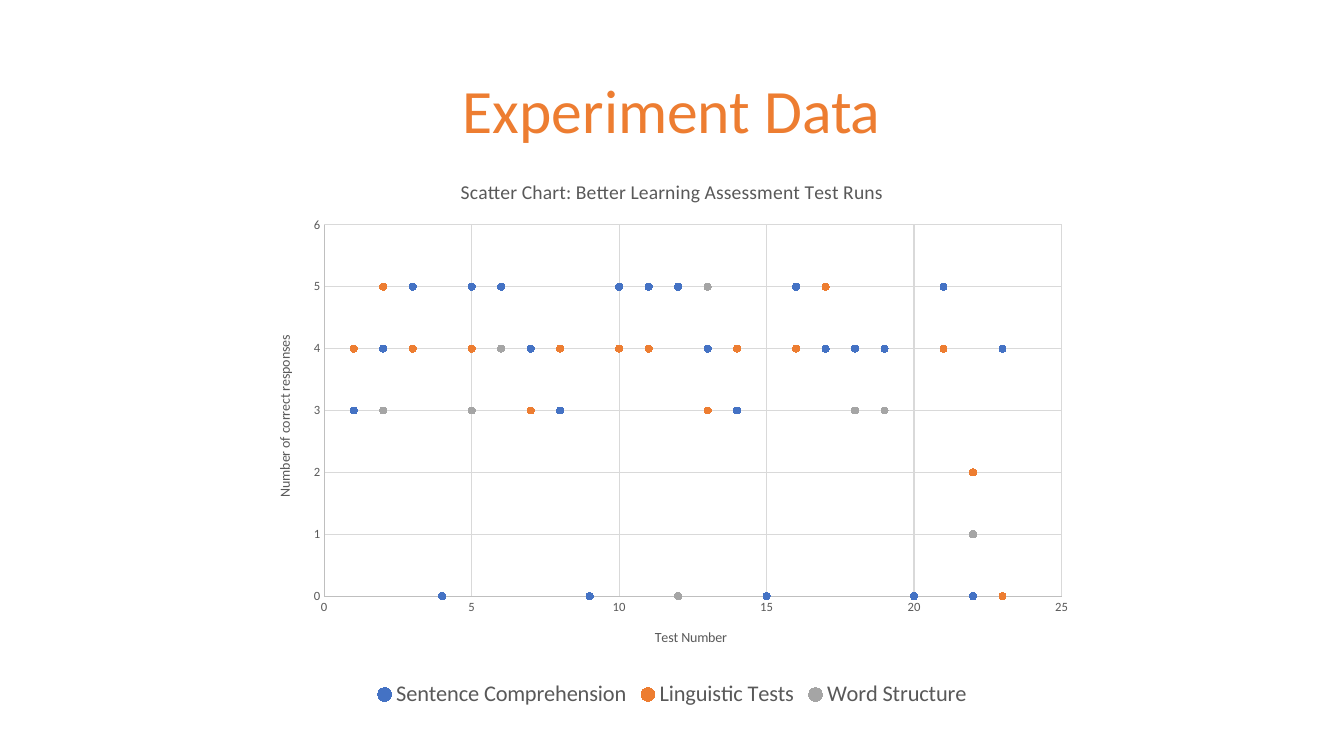
from lxml import etree
from pptx import Presentation
from pptx.chart.data import XyChartData
from pptx.dml.color import RGBColor
from pptx.enum.chart import (
    XL_CHART_TYPE as ChartType,
    XL_LEGEND_POSITION as LegendPosition,
    XL_MARKER_STYLE as MarkerStyle,
    XL_TICK_MARK as TickMark,
)
from pptx.enum.text import MSO_ANCHOR, PP_ALIGN
from pptx.oxml.ns import qn
from pptx.util import Cm, Pt

BLUE = RGBColor(0x44, 0x72, 0xC4)
ORANGE = RGBColor(0xED, 0x7D, 0x31)
GREY = RGBColor(0xA5, 0xA5, 0xA5)
TEXT_GREY = RGBColor(0x59, 0x59, 0x59)
AXIS_GREY = RGBColor(0xBF, 0xBF, 0xBF)
GRID_GREY = RGBColor(0xD9, 0xD9, 0xD9)
FONT = "Calibri"

TEST_RESULTS = [
    ("Sentence Comprehension", BLUE,
     [3, 4, 5, 0, 5, 5, 4, 3, 0, 5, 5, 5, 4, 3, 0, 5, 4, 4, 4, 0, 5, 0, 4]),
    ("Linguistic Tests", ORANGE,
     [4, 5, 4, 0, 4, 5, 3, 4, 0, 4, 4, 5, 3, 4, 0, 4, 5, 4, 4, 0, 4, 2, 0]),
    ("Word Structure", GREY,
     [3, 3, 4, 0, 3, 4, 3, 4, 0, 4, 4, 0, 5, 4, 0, 5, 5, 3, 3, 0, 4, 1, 0]),
]
PLOT_AREA = {"x": 0.08, "y": 0.12, "w": 0.89, "h": 0.67}


def style_font(font, size, color=TEXT_GREY):
    font.name = FONT
    font.size = Pt(size)
    font.bold = False
    font.color.rgb = color


def style_line(line, color):
    line.width = Pt(0.75)
    line.color.rgb = color


def add_run(paragraph, text, size, color=TEXT_GREY):
    run = paragraph.add_run()
    run.text = text
    style_font(run.font, size, color)


def set_slide_title(slide, text):
    title = slide.shapes.title
    title.left, title.top = Cm(2.33), Cm(1.01)
    title.width, title.height = Cm(29.21), Cm(3.68)
    title.text_frame.vertical_anchor = MSO_ANCHOR.MIDDLE
    paragraph = title.text_frame.paragraphs[0]
    paragraph.alignment = PP_ALIGN.CENTER
    paragraph.line_spacing = 0.9
    add_run(paragraph, text, 44, ORANGE)


def style_axis(axis, title, maximum, step):
    axis.minimum_scale, axis.maximum_scale = 0, maximum
    axis.major_unit = step
    axis.major_tick_mark = axis.minor_tick_mark = TickMark.NONE
    axis.has_major_gridlines = True
    style_line(axis.major_gridlines.format.line, GRID_GREY)
    style_line(axis.format.line, AXIS_GREY)
    style_font(axis.tick_labels.font, 9)
    add_run(axis.axis_title.text_frame.paragraphs[0], title, 10)


def place_plot_area(chart):
    """Fix the inner plot area as fractions of the chart's size."""
    plot_area = chart.plots[0]._element.getparent()
    for old_layout in plot_area.findall(qn("c:layout")):
        plot_area.remove(old_layout)
    layout = etree.Element(qn("c:layout"))
    plot_area.insert(0, layout)
    manual = etree.SubElement(layout, qn("c:manualLayout"))
    settings = [("layoutTarget", "inner"), ("xMode", "edge"), ("yMode", "edge")]
    for name, value in settings + list(PLOT_AREA.items()):
        etree.SubElement(manual, qn(f"c:{name}")).set("val", str(value))


def add_scatter_chart(slide):
    data = XyChartData()
    for name, _, scores in TEST_RESULTS:
        series = data.add_series(name)
        for test_number, score in enumerate(scores, start=1):
            series.add_data_point(test_number, score)
    chart = slide.shapes.add_chart(
        ChartType.XY_SCATTER, Cm(6.5), Cm(3.99), Cm(20.88), Cm(13.97), data
    ).chart
    style_font(chart.font, 10)
    chart.has_title = True
    add_run(chart.chart_title.text_frame.paragraphs[0],
            "Scatter Chart: Better Learning Assessment Test Runs", 14)
    chart.chart_title.include_in_layout = False

    chart.has_legend = True
    chart.legend.position = LegendPosition.BOTTOM
    chart.legend.include_in_layout = False
    style_font(chart.legend.font, 16)

    style_axis(chart.category_axis, "Test Number", 25, 5)
    style_axis(chart.value_axis, "Number of correct responses", 6, 1)

    plot = chart.plots[0]
    plot.vary_by_categories = False
    for series, (_, color, _) in zip(plot.series, TEST_RESULTS):
        series.format.line.fill.background()
        series.marker.style = MarkerStyle.CIRCLE
        series.marker.size = 5
        series.marker.format.fill.solid()
        series.marker.format.fill.fore_color.rgb = color
        style_line(series.marker.format.line, color)
    place_plot_area(chart)


def main():
    presentation = Presentation()
    presentation.slide_width = Cm(33.87)
    presentation.slide_height = Cm(19.05)
    title_only = presentation.slide_layouts[5]
    slide = presentation.slides.add_slide(title_only)
    set_slide_title(slide, "Experiment Data")
    add_scatter_chart(slide)
    presentation.save("out.pptx")


if __name__ == "__main__":
    main()
